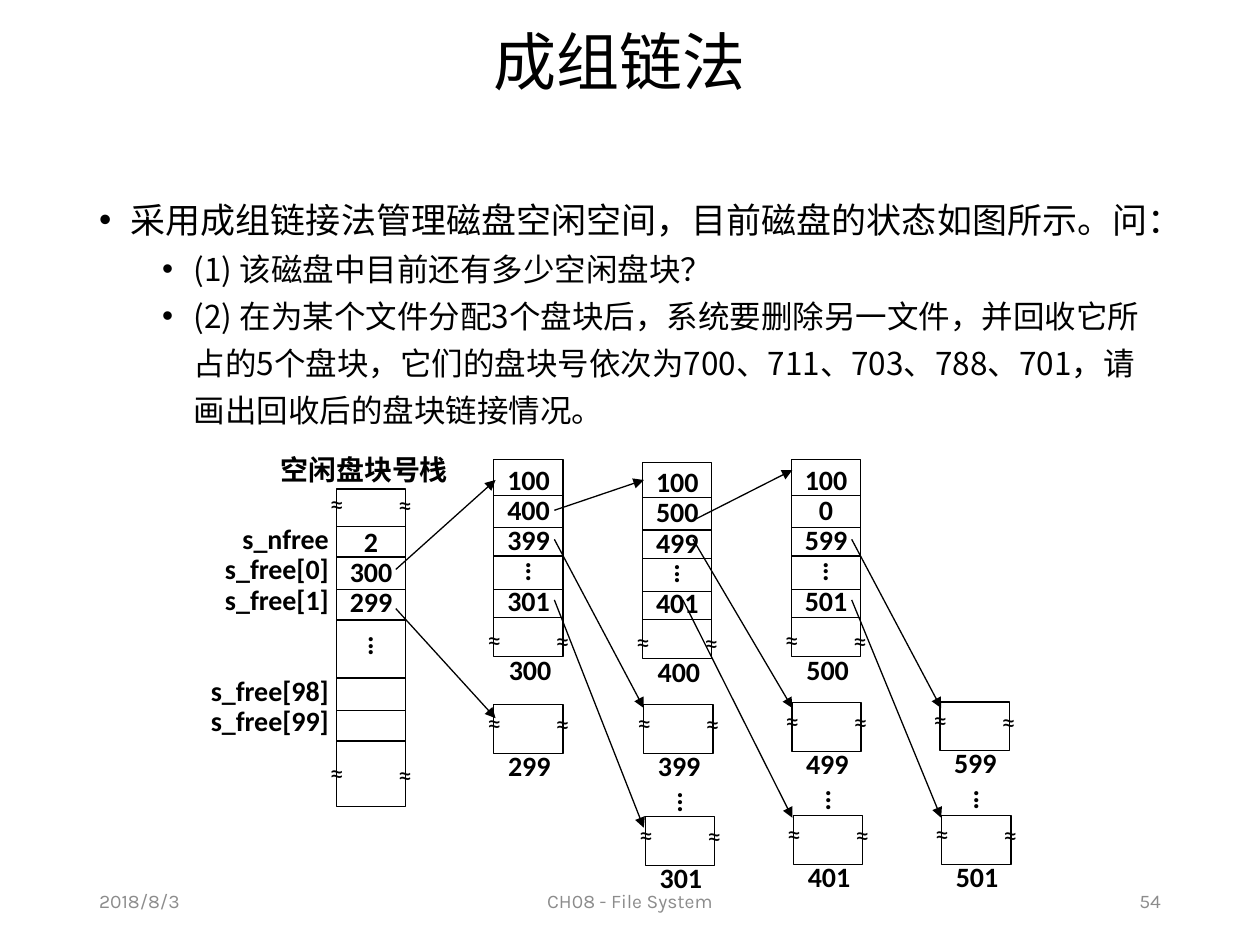
from dataclasses import dataclass

from lxml import etree
from pptx import Presentation
from pptx.dml.color import RGBColor
from pptx.enum import shapes, text
from pptx.oxml.ns import qn
from pptx.util import Pt


@dataclass(frozen=True)
class Theme:
    ink: RGBColor = RGBColor(0, 0, 0)
    muted: RGBColor = RGBColor(0x8C, 0x8C, 0x8C)
    cjk: str = "Noto Sans CJK SC"
    latin: str = "Calibri"
    footer: str = "Karla"
    title_pt: int = 36
    body_pt: tuple = (20, 18)
    label_pt: int = 16
    footer_pt: int = 11
    line_pt: float = 0.75


T = Theme()
LEFT, CENTER, RIGHT = text.PP_ALIGN.LEFT, text.PP_ALIGN.CENTER, text.PP_ALIGN.RIGHT
CELL_W, BLOCK_H = 39.6, 28


def style(p, size, font, color=T.ink, bold=False, align=LEFT, spacing=1.0):
    """Format a paragraph and its runs, East Asian font included."""
    p.alignment, p.line_spacing = align, spacing
    p.space_before = p.space_after = Pt(0)
    for r in p.runs:
        r.font.size, r.font.name, r.font.bold = Pt(size), font, bold
        r.font.color.rgb = color
        ea = etree.SubElement(r._r.get_or_add_rPr(), qn("a:ea"))
        ea.set("typeface", T.cjk)


def place(sp, x, y, w, h):
    sp.left, sp.top, sp.width, sp.height = Pt(x), Pt(y), Pt(w), Pt(h)


def label(s, x, y, w, h, words, size=T.label_pt, font=T.latin, color=T.ink,
          bold=True, align=LEFT, spacing=1.0, anchor=text.MSO_ANCHOR.TOP):
    tf = s.shapes.add_textbox(Pt(x), Pt(y), Pt(w), Pt(h)).text_frame
    tf.word_wrap, tf.vertical_anchor = True, anchor
    tf.text = words
    for p in tf.paragraphs:
        style(p, size, font, color, bold, align, spacing)
    return tf


def line(s, x1, y1, x2, y2, arrow=False):
    c = s.shapes.add_connector(shapes.MSO_CONNECTOR.STRAIGHT,
                               Pt(x1), Pt(y1), Pt(x2), Pt(y2))
    c.line.color.rgb, c.line.width = T.ink, Pt(T.line_pt)
    if arrow:
        etree.SubElement(c.line._get_or_add_ln(), qn("a:tailEnd")).set("type", "triangle")
    etree.SubElement(c._element.spPr, qn("a:effectLst"))


def frame(s, x, y, h, rows=(), top=3.6, dividers=()):
    """An outlined box with centred rows of text and dividing lines."""
    sp = s.shapes.add_shape(shapes.MSO_SHAPE.RECTANGLE, Pt(x), Pt(y), Pt(CELL_W), Pt(h))
    sp.shadow.inherit = False
    sp.fill.background()
    sp.line.color.rgb, sp.line.width = T.ink, Pt(T.line_pt)
    if rows:
        tf = sp.text_frame
        tf.vertical_anchor, tf.margin_top = text.MSO_ANCHOR.TOP, Pt(top)
        tf.text = "\n".join(rows)
        for p in tf.paragraphs:
            style(p, T.label_pt, T.latin, bold=True, align=CENTER, spacing=0.9)
    for dy in dividers:
        line(s, x, y + dy, x + CELL_W, y + dy)
    return sp


def breaks(s, x, y):
    """The pair of break marks on the sides of a box."""
    for dx, dy in ((28.2, 0.7), (-10.8, 0)):
        label(s, x + dx, y + dy, 22.3, 26.6, "≈", bold=False)


def dots(s, x, y):
    label(s, x, y, 22.3, 18.7, ".\n.\n.", align=CENTER, spacing=0.2)


def title(s, x, y, w, h):
    sp = s.shapes.title
    place(sp, x, y, w, h)
    tf = sp.text_frame
    tf.text = "成组链法"
    tf.vertical_anchor = text.MSO_ANCHOR.MIDDLE
    style(tf.paragraphs[0], T.title_pt, T.cjk, align=CENTER, spacing=0.9)


def question(s, x, y, w, h):
    sp = s.placeholders[1]
    place(sp, x, y, w, h)
    tf = sp.text_frame
    tf.text = "\n".join((
        "采用成组链接法管理磁盘空闲空间，目前磁盘的状态如图所示。问：",
        "(1) 该磁盘中目前还有多少空闲盘块？",
        "(2) 在为某个文件分配3个盘块后，系统要删除另一文件，并回收它所占的5个盘块，"
        "它们的盘块号依次为700、711、703、788、701，请画出回收后的盘块链接情况。"))
    for i, p in enumerate(tf.paragraphs):
        p.level = min(i, 1)
        pPr = p._p.get_or_add_pPr()
        pPr.set("marL", str(Pt((18, 54)[p.level])))
        pPr.set("indent", str(Pt(-18)))
        etree.SubElement(pPr, qn("a:buFont")).set("typeface", "Arial")
        etree.SubElement(pPr, qn("a:buChar")).set("char", "•")
        style(p, T.body_pt[p.level], T.cjk, spacing=1.25)


def free_stack(s, x, y):
    """The free block stack with the names of its fields."""
    label(s, x - 39, y - 24.5, 113, 26.6, "空闲盘块号栈")
    frame(s, x, y, 181.4, ("2", "300", "299"), top=22.5,
          dividers=(21.6, 38.9, 57.6, 74.9, 108, 126.7, 144))
    dots(s, x + 8.6, y + 80.6)
    for dy in (-5, 149):
        breaks(s, x, y + dy)
    tf = label(s, x - 85, y + 17.3, 87.8, 128.9,
               "s_nfree\ns_free[0]\ns_free[1]\ns_free[98]\ns_free[99]",
               align=RIGHT, spacing=0.9)
    tf.paragraphs[3].space_before = Pt(35)


def group_column(s, x, y, name, rows):
    """An index block: count, block numbers and its own number below."""
    sp = frame(s, x, y, 112.3, rows, dividers=(20.2, 38.6, 54.9, 74, 90))
    sp.text_frame.paragraphs[3].space_before = Pt(17.5)
    dots(s, x + 8.6, y + 54.7)
    breaks(s, x, y + 89.3)
    label(s, x + 1.5, y + 106.4, CELL_W, 26.6, name)


def block(s, x, y, name, more=False):
    frame(s, x, y, BLOCK_H)
    breaks(s, x, y - 2.9)
    label(s, x + 1, y + 21.5, CELL_W, 26.6, name)
    if more:
        dots(s, x + 9.6, y + 46.8)


def diagram(s, x, y):
    """Stack, index blocks and data blocks, joined by arrows."""
    free_stack(s, x, y + 16.6)
    step = 85
    for i, (head, nxt, dy) in enumerate(((300, 400, 0), (400, 500, 1.4), (500, 0, 0))):
        rows = ("100", str(nxt), str(head + 99), str(head + 1))
        group_column(s, x + 90 + i * step, y + dy, str(head), rows)
    block(s, x + 90, y + 139.7, "299")
    for i, (head, dy) in enumerate(((300, 0), (400, -1.2), (500, -1.4))):
        bx = x + 175.7 + i * 84.6
        block(s, bx, y + 139.7 + dy, str(head + 99), more=True)
        block(s, bx + 1, y + 203.8 + dy / 2, str(head + 1))
    for x1, y1, x2, y2 in (
            (34, 62.6, 91, 11.5), (34, 85, 91, 147.6),
            (124.6, 28.8, 175.7, 11.5), (124.6, 45.4, 175.7, 141.8),
            (124.6, 80, 175.7, 210.2),
            (203.8, 34.6, 260.6, 5.8), (203.8, 45.4, 260.6, 141.8),
            (198, 80, 260.6, 204.5),
            (294.5, 45.4, 345.6, 141.8), (294.5, 80, 345.6, 204.5)):
        line(s, x + x1, y + y1, x + x2, y + y2, arrow=True)


def footer(s, x, y, w, h):
    side, mid = 162, 243
    for dx, fw, words, align in ((0, side, "2018/8/3", LEFT),
                                 ((w - mid) / 2, mid, "CH08 - File System", CENTER),
                                 (w - side, side, "54", RIGHT)):
        label(s, x + dx, y, fw, h, words, T.footer_pt, T.footer, T.muted,
              bold=False, align=align, anchor=text.MSO_ANCHOR.MIDDLE)


def main():
    prs = Presentation()
    prs.slide_width, prs.slide_height = Pt(720), Pt(540)
    s = prs.slides.add_slide(prs.slide_layouts[1])
    title(s, 44, 10, 620.6, 54.7)
    question(s, 49.5, 103.7, 621, 387.4)
    diagram(s, 192.2, 262.8)
    footer(s, 49.5, 500.4, 621, 28.8)
    prs.save("out.pptx")


if __name__ == "__main__":
    main()
